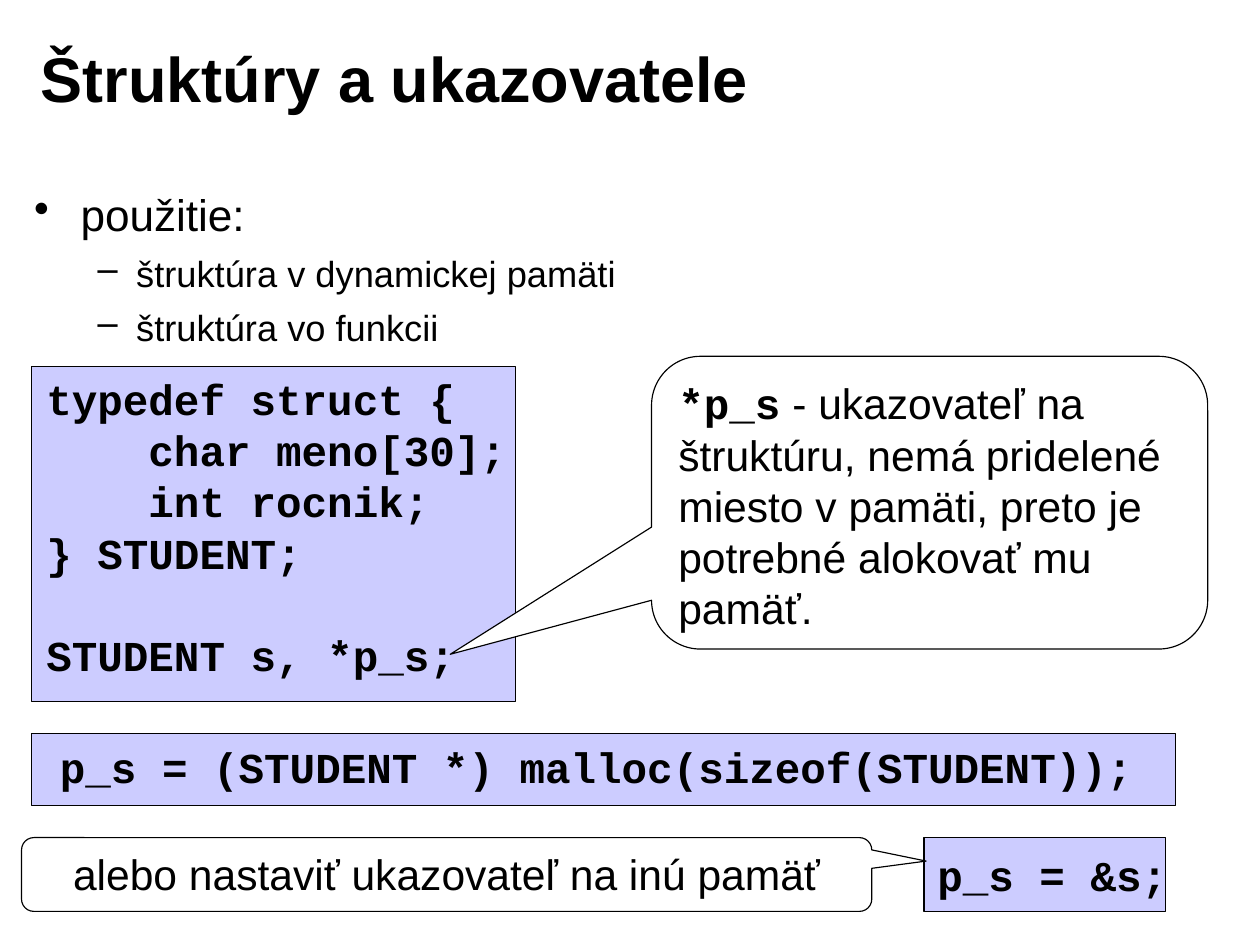
import dataclasses

import pptx
import pptx.dml.color
import pptx.enum.shapes
import pptx.enum.text
import pptx.oxml
import pptx.oxml.ns
import pptx.util

SHAPES = pptx.enum.shapes.MSO_SHAPE
ALIGN = pptx.enum.text.PP_ALIGN
ANCHOR = pptx.enum.text.MSO_ANCHOR
FIT = pptx.enum.text.MSO_AUTO_SIZE


@dataclasses.dataclass(frozen=True)
class Theme:
    ink: str = "000000"
    paper: str = "FFFFFF"
    code_fill: str = "CCCCFF"
    text_font: str = "Arial"
    code_font: str = "Courier New"
    title_size: int = 40
    topic_size: int = 28
    detail_size: int = 23
    note_size: int = 27
    outline: float = 0.75
    leading: float = 1.2
    list_leading: float = 1.04


@dataclasses.dataclass(frozen=True)
class Box:
    left: float
    top: float
    width: float
    height: float

    def inner(self, right, down, width, height):
        return Box(self.left + right, self.top + down, width, height)

    def place(self):
        across, down = SLIDE_WIDTH / 100, SLIDE_HEIGHT / 100
        return [pptx.util.Inches(value) for value in
                (self.left * across, self.top * down, self.width * across, self.height * down)]


THEME = Theme()
SLIDE_WIDTH, SLIDE_HEIGHT = 11.1, 8.3


def rgb(code):
    return pptx.dml.color.RGBColor.from_string(code)


def set_frame(frame, across=0.11, down=0.06, wrap=True, anchor=ANCHOR.TOP):
    frame.margin_left = frame.margin_right = pptx.util.Inches(across)
    frame.margin_top = frame.margin_bottom = pptx.util.Inches(down)
    frame.word_wrap = wrap
    frame.vertical_anchor = anchor


def style_span(span, size, font, bold):
    span.font.size = pptx.util.Pt(size)
    span.font.name = font
    span.font.bold = bold
    span.font.color.rgb = rgb(THEME.ink)


def style_para(para, size, font=THEME.text_font, bold=False, align=ALIGN.LEFT):
    para.alignment = align
    para.line_spacing = pptx.util.Pt(size * THEME.leading)
    for span in para.runs:
        style_span(span, size, font, bold)


def add_panel(page, kind, box, fill):
    panel = page.shapes.add_shape(kind, *box.place())
    panel.shadow.inherit = False
    panel.fill.solid()
    panel.fill.fore_color.rgb = rgb(fill)
    panel.line.color.rgb = rgb(THEME.ink)
    panel.line.width = pptx.util.Pt(THEME.outline)
    return panel


def add_title(page, box, text):
    title = page.shapes.title
    title.left, title.top, title.width, title.height = box.place()
    set_frame(title.text_frame, anchor=ANCHOR.MIDDLE)
    title.text_frame.text = text
    style_para(title.text_frame.paragraphs[0], THEME.title_size, bold=True)


def set_bullet(para, symbol, margin, indent):
    props = para._p.get_or_add_pPr()
    props.set("marL", str(pptx.util.Inches(margin)))
    props.set("indent", str(pptx.util.Inches(indent)))
    bullet = pptx.oxml.parse_xml(
        f'<a:buChar {pptx.oxml.ns.nsdecls("a")} char="{symbol}"/>')
    props.append(bullet)


def add_outline(page, box, topic, details):
    frame = page.shapes.add_textbox(*box.place()).text_frame
    set_frame(frame)
    frame.text = "\n".join([topic, *details])
    for index, para in enumerate(frame.paragraphs):
        size = THEME.detail_size if index else THEME.topic_size
        style_para(para, size)
        para.line_spacing = THEME.list_leading
        para.space_before = pptx.util.Pt(size / 4)
        if index:
            para.level = 1
            set_bullet(para, "–", 0.9, -0.34)
        else:
            set_bullet(para, "•", 0.41, -0.41)


def add_code(page, box, text_box, lines, gap_before=None):
    add_panel(page, SHAPES.RECTANGLE, box, THEME.code_fill)
    frame = page.shapes.add_textbox(*text_box.place()).text_frame
    set_frame(frame, 0.1, 0.05, wrap=False)
    frame.auto_size = FIT.SHAPE_TO_FIT_TEXT
    frame.text = "\n".join(lines)
    for index, para in enumerate(frame.paragraphs):
        style_para(para, THEME.note_size, THEME.code_font, bold=True)
        if index == gap_before:
            para.space_before = pptx.util.Pt(THEME.note_size * THEME.leading)


def add_callout(page, box, pointer, text, term="", align=ALIGN.LEFT):
    callout = add_panel(page, SHAPES.ROUNDED_RECTANGULAR_CALLOUT, box, THEME.paper)
    for index, value in enumerate((*pointer, 0.167)):
        callout.adjustments[index] = value
    frame = callout.text_frame
    set_frame(frame)
    para = frame.paragraphs[0]
    para.text = term or text
    if term:
        para.add_run().text = text
    style_para(para, THEME.note_size, align=align)
    if term:
        style_span(para.runs[0], THEME.note_size, THEME.code_font, True)


def build_pointer_page(page):
    add_title(page, Box(2.25, 2.05, 80.27, 12.29), "Štruktúry a ukazovatele")
    add_outline(page, Box(1.71, 18.92, 87.03, 25.54), "použitie:",
                ["štruktúra v dynamickej pamäti", "štruktúra vo funkcii"])

    definition = Box(2.52, 38.92, 38.38, 35.54)
    add_code(page, definition, definition.inner(0.27, 0.12, 38.5, 33.62),
             ["typedef struct {", "    char meno[30];", "    int rocnik;",
              "} STUDENT;", "STUDENT s, *p_s;"], gap_before=4)
    allocation = Box(2.52, 77.83, 90.81, 7.71)
    add_code(page, allocation, allocation.inner(1.35, 0.24, 87.2, 6.63),
             ["p_s = (STUDENT *) malloc(sizeof(STUDENT));"])
    address = Box(73.33, 88.92, 19.19, 7.83)
    add_code(page, address, address.inner(0.18, 0.6, 20.4, 6.63), ["p_s = &s;"])

    add_callout(page, Box(51.71, 37.83, 44.14, 31.08), (-0.862, 0.518),
                " - ukazovateľ na štruktúru, nemá pridelené miesto v pamäti, "
                "preto je potrebné alokovať mu pamäť.", term="*p_s")
    add_callout(page, Box(1.71, 88.92, 67.48, 7.83), (0.564, -0.182),
                "alebo nastaviť ukazovateľ na inú pamäť", align=ALIGN.CENTER)


def main():
    deck = pptx.Presentation()
    deck.slide_width = pptx.util.Inches(SLIDE_WIDTH)
    deck.slide_height = pptx.util.Inches(SLIDE_HEIGHT)
    page = deck.slides.add_slide(deck.slide_layouts.get_by_name("Title Only"))
    build_pointer_page(page)
    deck.save("out.pptx")


if __name__ == "__main__":
    main()
